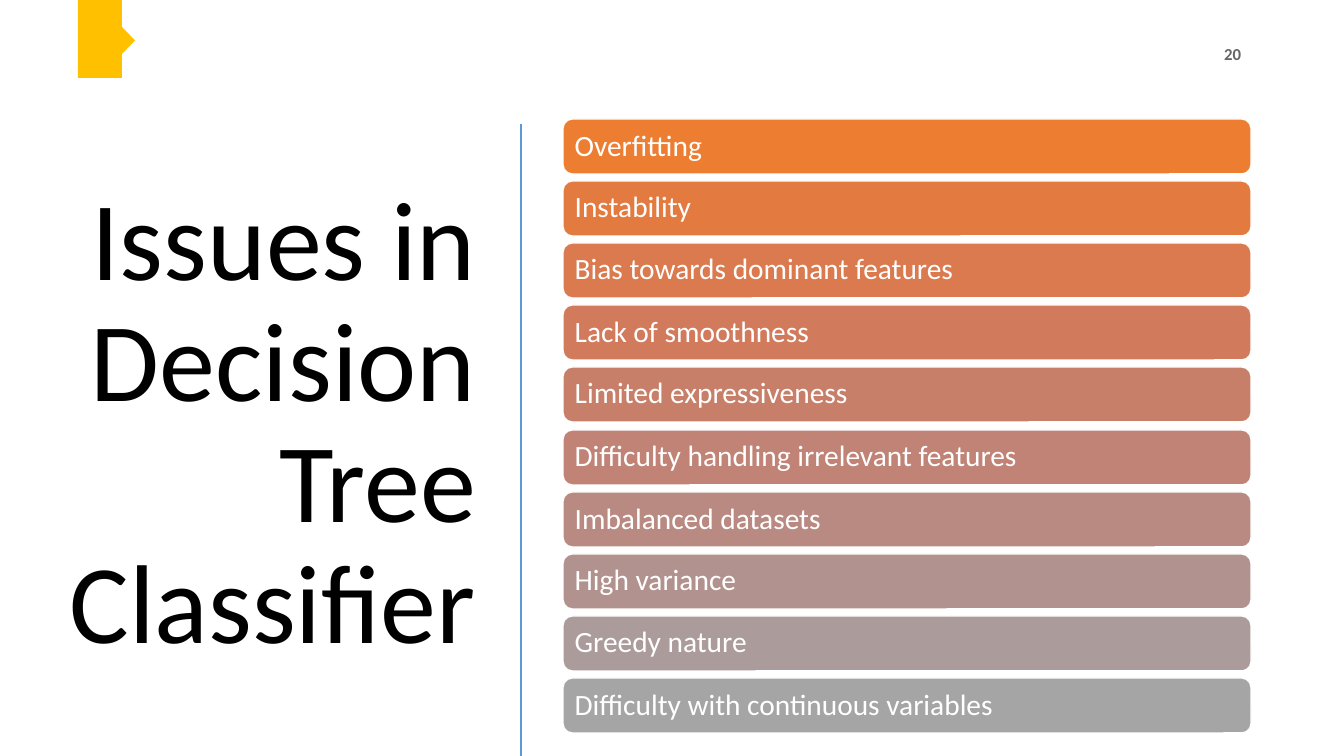
from lxml.etree import SubElement
from pptx import Presentation
from pptx.dml.color import RGBColor
from pptx.enum.shapes import MSO_CONNECTOR, MSO_SHAPE
from pptx.enum.text import MSO_ANCHOR, PP_ALIGN
from pptx.oxml.ns import qn
from pptx.util import Emu, Pt

COLORS = {
    "title": "000000",
    "number": "666666",
    "divider": "5B9BD5",
    "marker": "FFC000",
    "bar_text": "FFFFFF",
}
ISSUES = [
    ("Overfitting", "ED7D31"),
    ("Instability", "E37A40"),
    ("Bias towards dominant features", "DA7A4E"),
    ("Lack of smoothness", "D17B5C"),
    ("Limited expressiveness", "C87F69"),
    ("Difficulty handling irrelevant features", "C08376"),
    ("Imbalanced datasets", "B98A82"),
    ("High variance", "B2928E"),
    ("Greedy nature", "AB9B9A"),
    ("Difficulty with continuous variables", "A5A5A5"),
]
FIRST_TOP, LAST_TOP = 119, 678


def px(*lengths):
    return [Emu(round(length * 914400 / 100.8)) for length in lengths]


def write(box, text, size, color, align, bold=False):
    frame = box.text_frame
    frame.word_wrap = True
    frame.vertical_anchor = MSO_ANCHOR.MIDDLE
    para = frame.paragraphs[0]
    para.alignment = align
    para.line_spacing = 0.9
    para.space_after = Pt(6)
    span = para.add_run()
    span.text = text
    span.font.name = "Calibri"
    span.font.size = Pt(size)
    span.font.bold = bold
    span.font.color.rgb = RGBColor.from_string(color)
    return frame


deck = Presentation()
deck.slide_width, deck.slide_height = px(1344, 756)
page = deck.slides.add_slide(deck.slide_layouts[6])

title = page.shapes.add_textbox(*px(52, 118, 434, 616))
write(title, "Issues in Decision Tree Classifier", 80, COLORS["title"], PP_ALIGN.RIGHT)

number = page.shapes.add_textbox(*px(949, 35, 302, 40))
write(number, "20", 12, COLORS["number"], PP_ALIGN.RIGHT, bold=True)

divider = page.shapes.add_connector(MSO_CONNECTOR.STRAIGHT, *px(521, 124, 521, 756))
divider.line.color.rgb = RGBColor.from_string(COLORS["divider"])
divider.line.width = Pt(2)
SubElement(divider._element.spPr, qn("a:effectLst"))

for preset, bounds in [
    (MSO_SHAPE.RECTANGLE, (78, 0, 44, 78)),
    (MSO_SHAPE.CHEVRON, (109, 27, 26, 27)),
]:
    marker = page.shapes.add_shape(preset, *px(*bounds))
    marker.shadow.inherit = False
    marker.fill.solid()
    marker.fill.fore_color.rgb = RGBColor.from_string(COLORS["marker"])
    marker.line.fill.background()

step = (LAST_TOP - FIRST_TOP) / (len(ISSUES) - 1)
for index, (issue, color) in enumerate(ISSUES):
    top = round(FIRST_TOP + index * step)
    bar = page.shapes.add_shape(MSO_SHAPE.ROUNDED_RECTANGLE, *px(563, top, 688, 55))
    bar.shadow.inherit = False
    bar.fill.solid()
    bar.fill.fore_color.rgb = RGBColor.from_string(color)
    bar.line.color.rgb = RGBColor.from_string("FFFFFF")
    bar.line.width = Pt(1)
    frame = write(bar, issue, 21, COLORS["bar_text"], PP_ALIGN.LEFT)
    frame.paragraphs[0].space_after = Pt(0)
    frame.margin_left, frame.margin_right = px(9, 9)

deck.save("out.pptx")
